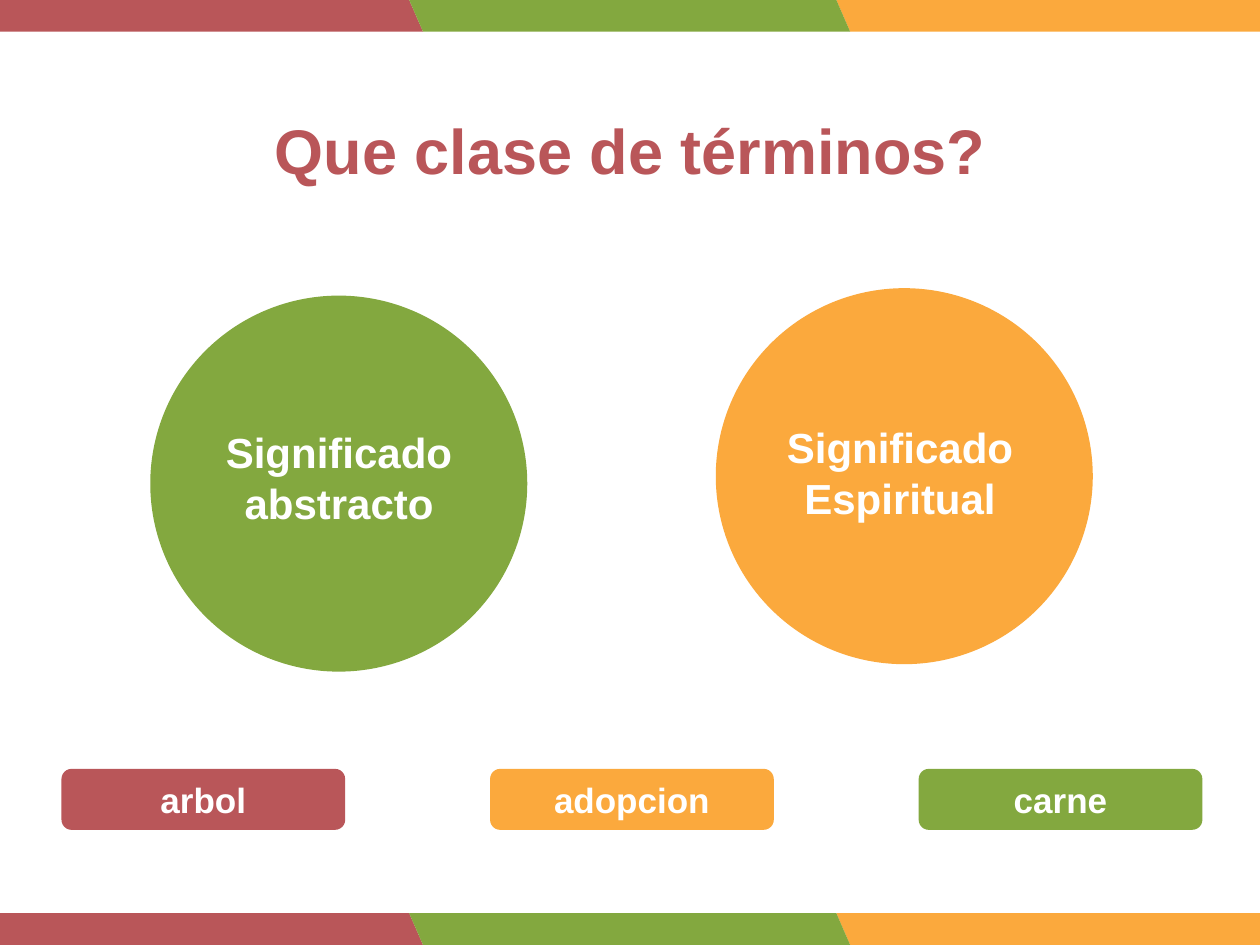
from pptx import Presentation
from pptx.dml.color import RGBColor
from pptx.enum.shapes import MSO_SHAPE
from pptx.enum.text import MSO_ANCHOR, MSO_AUTO_SIZE, PP_ALIGN
from pptx.util import Cm, Pt

COLORS = {"red": "B95659", "green": "83A83F", "orange": "FBA93D", "white": "FFFFFF"}
SLIDE_W, SLIDE_H = 25.4, 19.05
BAND_H = 0.64


def rgb(name):
    return RGBColor.from_string(COLORS[name])


def write(tf, text, size=20, color="white", font="Arial", anchor=MSO_ANCHOR.MIDDLE):
    tf.word_wrap = True
    tf.auto_size = MSO_AUTO_SIZE.NONE
    tf.vertical_anchor = anchor
    p = tf.paragraphs[0]
    p.alignment = PP_ALIGN.CENTER
    r = p.add_run()
    r.text = text
    r.font.name = font
    r.font.size = Pt(size)
    r.font.bold = True
    r.font.color.rgb = rgb(color)


class Deck:
    def __init__(self, prs, font="Arial"):
        self.font = font
        self.s = prs.slides.add_slide(prs.slide_layouts[5])

    def title(self, text, x, y, w, h):
        sp = self.s.shapes.title
        sp.left, sp.top, sp.width, sp.height = Cm(x), Cm(y), Cm(w), Cm(h)
        write(sp.text_frame, text, size=36, color="red", font=self.font)

    def shape(self, kind, x, y, w, h, color):
        sp = self.s.shapes.add_shape(kind, Cm(x), Cm(y), Cm(w), Cm(h))
        sp.shadow.inherit = False
        sp.fill.solid()
        sp.fill.fore_color.rgb = rgb(color)
        sp.line.fill.background()
        return sp

    def band(self, y):
        for i, color in ((2, "orange"), (0, "red"), (1, "green")):
            sp = self.shape(MSO_SHAPE.PARALLELOGRAM, -0.36 + 8.61 * i, y, 8.89, BAND_H, color)
            sp.adjustments[0] = 0.436
            sp._element.spPr.xfrm.set("flipH", "1")

    def circle(self, x, y, color):
        self.shape(MSO_SHAPE.OVAL, x, y, 7.6, 7.58, color)

    def label(self, text, x, y, w, h):
        sp = self.s.shapes.add_textbox(Cm(x), Cm(y), Cm(w), Cm(h))
        write(sp.text_frame, text, size=24, font=self.font, anchor=MSO_ANCHOR.TOP)

    def pill(self, text, x, y, color):
        sp = self.shape(MSO_SHAPE.ROUNDED_RECTANGLE, x, y, 5.72, 1.23, color)
        write(sp.text_frame, text, font=self.font)


def main():
    prs = Presentation()
    prs.slide_width, prs.slide_height = Cm(SLIDE_W), Cm(SLIDE_H)
    deck = Deck(prs)

    for y in (SLIDE_H - BAND_H, 0):
        deck.band(y)
    deck.title("Que clase de términos?", 0.46, 2.11, 24.49, 1.8)

    deck.circle(3.03, 5.96, "green")
    deck.label("Significado abstracto", 3.38, 8.48, 6.91, 2.31)
    deck.circle(14.43, 5.81, "orange")
    deck.label("Significado Espiritual", 14.27, 8.38, 7.75, 2.31)

    terms = (("arbol", "red"), ("adopcion", "orange"), ("carne", "green"))
    for i, (term, color) in enumerate(terms):
        deck.pill(term, 1.24 + 8.64 * i, 15.5, color)

    prs.save("out.pptx")


if __name__ == "__main__":
    main()
